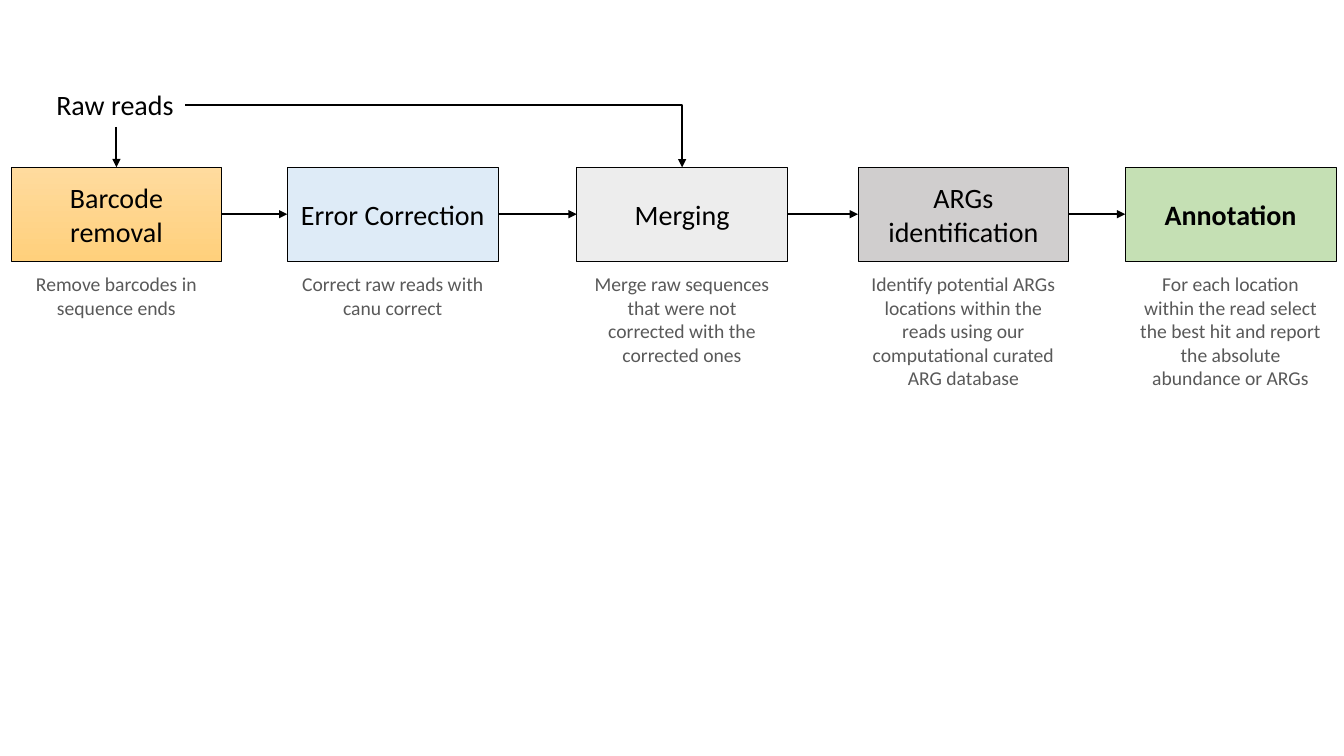
import dataclasses

import pptx
import pptx.dml.color
import pptx.enum.shapes
import pptx.enum.text
import pptx.oxml
import pptx.oxml.ns
import pptx.util

Inches = pptx.util.Inches
RGB = pptx.dml.color.RGBColor.from_string
CENTER = pptx.enum.text.PP_ALIGN.CENTER
CONNECTOR = pptx.enum.shapes.MSO_CONNECTOR


@dataclasses.dataclass(frozen=True)
class Theme:
    """Colours, font and type sizes of the slide."""
    font: str = "Calibri"
    ink: str = "000000"
    note_ink: str = "595959"
    label_size: int = 20
    note_size: int = 14
    border: float = 0.5
    arrow: float = 1.5
    barcode: tuple = ("FFDB9E", "FFD07C")
    correction: tuple = ("DEEBF7",)
    merging: tuple = ("EDEDED",)
    identification: tuple = ("D0CECE",)
    annotation: tuple = ("C5E0B4",)


THEME = Theme()
STEP_TOP, STEP_WIDTH, STEP_HEIGHT = 1.66, 2.09, 0.93
NOTE_TOP, NOTE_WIDTH = 2.65, 2.04
READS_LEFT, READS_TOP, READS_WIDTH, READS_HEIGHT = 0.46, 0.82, 1.38, 0.44
TOP_SITE, LEFT_SITE, RIGHT_SITE = 0, 1, 3

# left edge, label, fill, bold, note, note height
STEPS = [
    (0.11, "Barcode removal", THEME.barcode, False,
     "Remove barcodes in sequence ends", 0.57),
    (2.85, "Error Correction", THEME.correction, False,
     "Correct raw reads with canu correct", 0.57),
    (5.72, "Merging", THEME.merging, False,
     "Merge raw sequences that were not corrected with the corrected ones", 1.04),
    (8.51, "ARGs identification", THEME.identification, False,
     "Identify potential ARGs locations within the reads using our "
     "computational curated ARG database", 1.28),
    (11.16, "Annotation", THEME.annotation, True,
     "For each location within the read select the best hit and report "
     "the absolute abundance or ARGs", 1.28),
]


def write(frame, words, size, ink, bold=False, align=None):
    """Put one formatted paragraph into a text frame."""
    paragraph = frame.paragraphs[0]
    paragraph.alignment = align
    run = paragraph.add_run()
    run.text = words
    formats = {"name": THEME.font, "size": pptx.util.Pt(size), "bold": bold}
    for key, value in formats.items():
        setattr(run.font, key, value)
    run.font.color.rgb = RGB(ink)


def paint(fill, colours):
    """Fill with one colour, or with a top-to-bottom gradient of two."""
    if len(colours) == 1:
        fill.solid()
        fill.fore_color.rgb = RGB(colours[0])
        return
    fill.gradient()
    fill.gradient_angle = 270
    for stop, colour in zip(fill.gradient_stops, colours):
        stop.color.rgb = RGB(colour)


def add_step(slide, left, label, colours, bold):
    """Draw one pipeline step as a bordered box."""
    step = slide.shapes.add_shape(
        pptx.enum.shapes.MSO_SHAPE.RECTANGLE, Inches(left), Inches(STEP_TOP),
        Inches(STEP_WIDTH), Inches(STEP_HEIGHT))
    step.shadow.inherit = False
    paint(step.fill, colours)
    step.line.color.rgb = RGB(THEME.ink)
    step.line.width = pptx.util.Pt(THEME.border)
    step.text_frame.vertical_anchor = pptx.enum.text.MSO_ANCHOR.MIDDLE
    write(step.text_frame, label, THEME.label_size, THEME.ink, bold, CENTER)
    return step


def add_text(slide, left, top, width, height, wrap, *content):
    """Add a text box that grows with its text."""
    box = slide.shapes.add_textbox(*map(Inches, (left, top, width, height)))
    formats = {"word_wrap": wrap,
               "auto_size": pptx.enum.text.MSO_AUTO_SIZE.SHAPE_TO_FIT_TEXT}
    for key, value in formats.items():
        setattr(box.text_frame, key, value)
    write(box.text_frame, *content)


def add_arrow(slide, start=(0, 0), end=(0, 0), kind=CONNECTOR.STRAIGHT):
    """Draw a line with a triangular head at its end."""
    arrow = slide.shapes.add_connector(kind, *map(Inches, (*start, *end)))
    arrow.line.color.rgb = RGB(THEME.ink)
    arrow.line.width = pptx.util.Pt(THEME.arrow)
    properties = arrow.element.spPr
    head = pptx.oxml.ns.qn("a:tailEnd")
    arrow.line.fill  # the line element exists before the head is added
    properties.find(pptx.oxml.ns.qn("a:ln")).append(
        properties.makeelement(head, {"type": "triangle"}))
    properties.append(properties.makeelement(pptx.oxml.ns.qn("a:effectLst"), {}))
    if kind == CONNECTOR.ELBOW:
        geometry = properties.find(pptx.oxml.ns.qn("a:prstGeom"))
        geometry.set("prst", "bentConnector2")
    return arrow


def main():
    """Build the read-processing pipeline slide."""
    deck = pptx.Presentation()
    deck.slide_width, deck.slide_height = Inches(13.33), Inches(7.5)
    slide = deck.slides.add_slide(deck.slide_layouts[6])

    steps = [add_step(slide, *entry[:4]) for entry in STEPS]
    add_text(slide, READS_LEFT, READS_TOP, READS_WIDTH, READS_HEIGHT, False,
             "Raw reads", THEME.label_size, THEME.ink)

    barcode_x, merging_x = (STEPS[i][0] + STEP_WIDTH / 2 for i in (0, 2))
    reads_right, reads_middle = READS_LEFT + READS_WIDTH, READS_TOP + READS_HEIGHT / 2
    add_arrow(slide, (barcode_x, READS_TOP + READS_HEIGHT), (barcode_x, STEP_TOP))
    for step, following in zip(steps, steps[1:]):
        arrow = add_arrow(slide)
        arrow.begin_connect(step, RIGHT_SITE)
        arrow.end_connect(following, LEFT_SITE)
    add_arrow(slide, (reads_right, reads_middle), (merging_x, STEP_TOP),
              CONNECTOR.ELBOW)

    for left, _, _, _, note, height in STEPS:
        note_left = left + (STEP_WIDTH - NOTE_WIDTH) / 2
        add_text(slide, note_left, NOTE_TOP, NOTE_WIDTH, height, True,
                 note, THEME.note_size, THEME.note_ink, False, CENTER)

    deck.save("out.pptx")


main()
